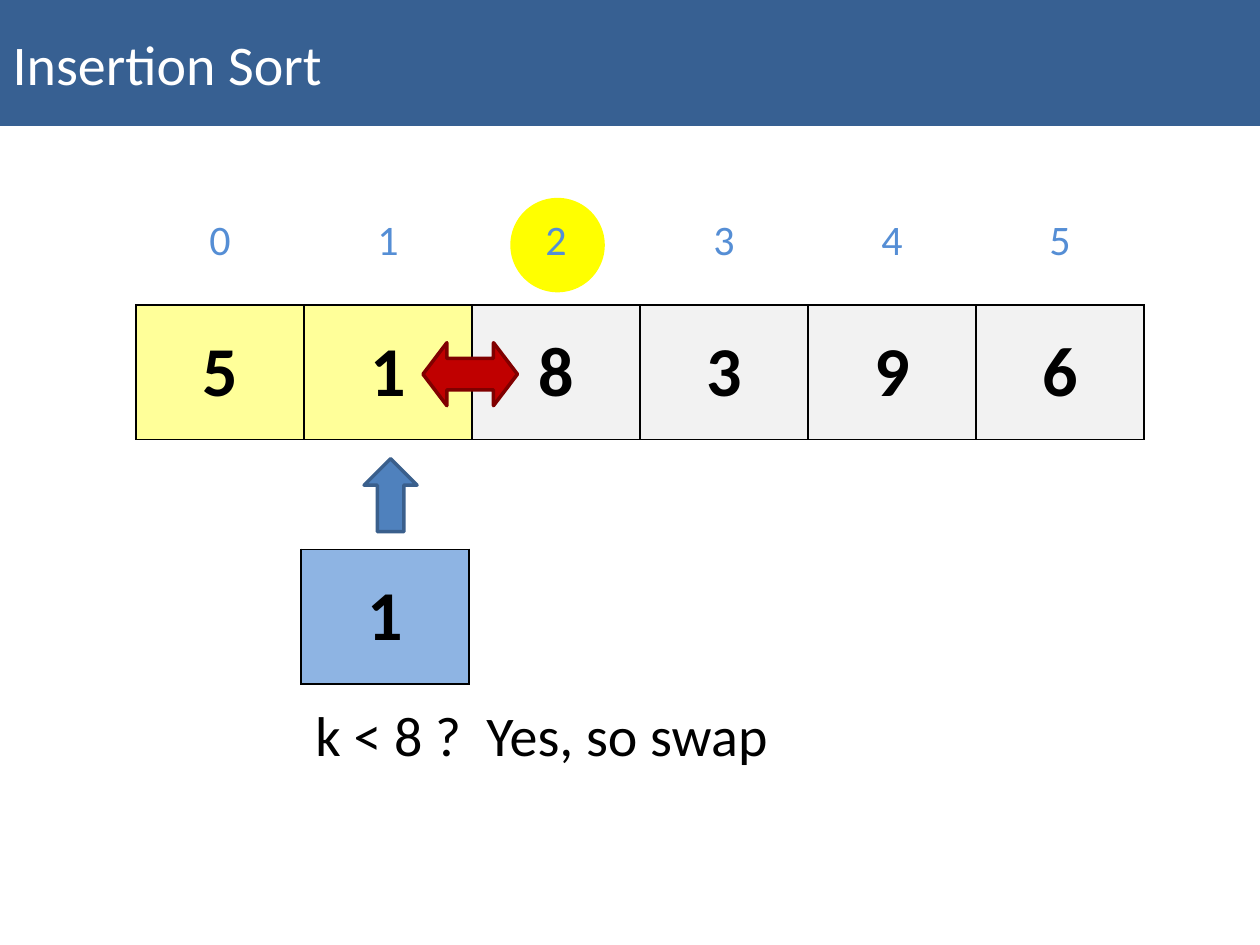
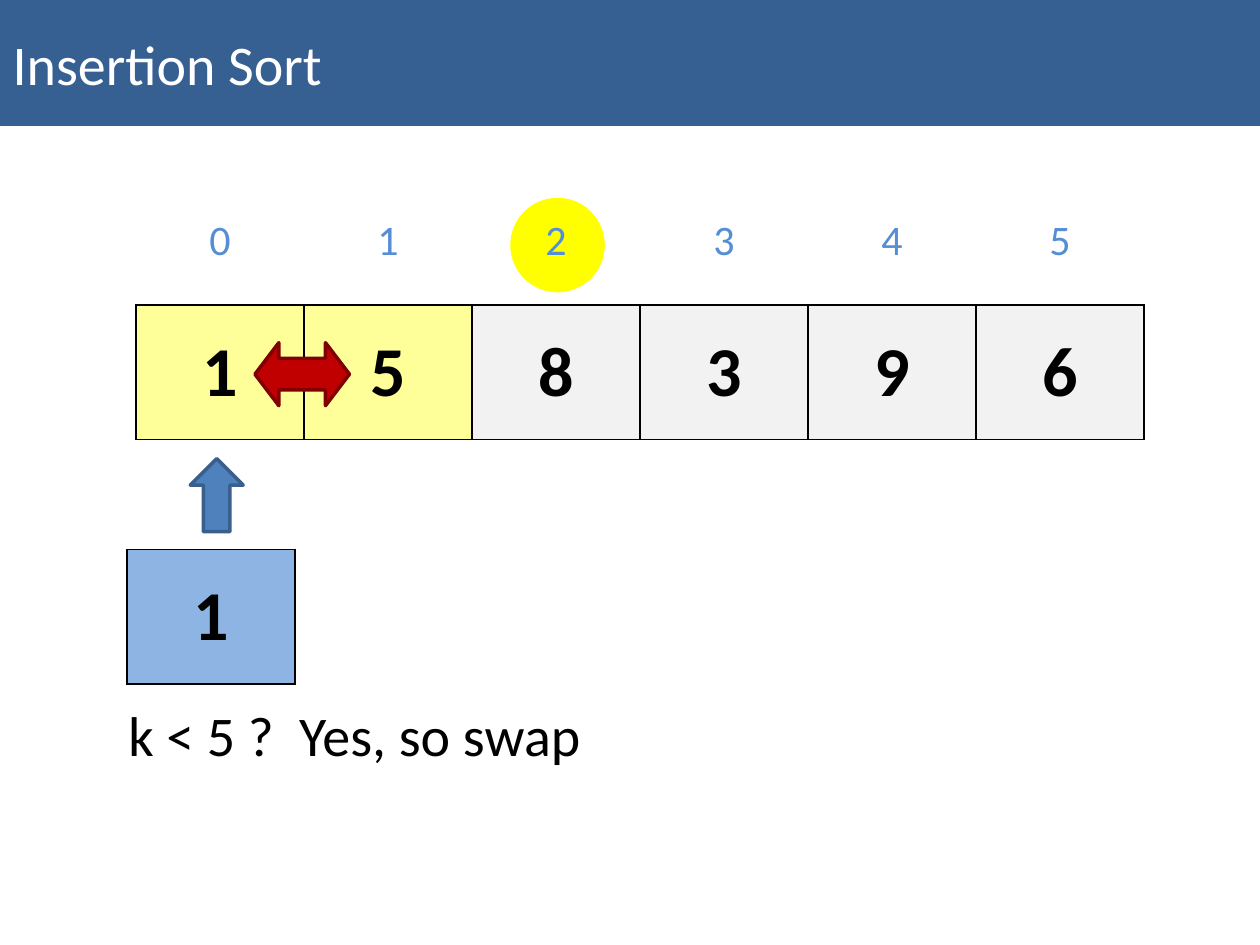
from pptx import Presentation
from pptx.dml.color import RGBColor
from pptx.enum.shapes import MSO_SHAPE as Preset
from pptx.enum.text import MSO_ANCHOR as Anchor, MSO_AUTO_SIZE as AutoSize, PP_ALIGN as Align
from pptx.oxml import parse_xml
from pptx.oxml.ns import nsdecls
from pptx.util import Inches, Pt

BLACK, YELLOW, GREY = "000000", "FFFF99", "F2F2F2"
TABLE_LEFT, TABLE_WIDTH, COUNT = 1.08, 8, 6
CELL_WIDTH, CELL_HEIGHT = TABLE_WIDTH / COUNT, 1.07


def color(value):
    return RGBColor.from_string(value)


class Deck:
    """Holds the shared style and the current slide."""

    font_name = "Calibri"

    def __init__(self):
        self.presentation = Presentation()
        self.presentation.slide_width = Inches(10)
        self.presentation.slide_height = Inches(7.5)
        self.slide = None

    def add_slide(self, title):
        layout = self.presentation.slide_layouts[5]
        self.slide = self.presentation.slides.add_slide(layout)
        # Title band
        band = self.slide.shapes.title
        band.left, band.top, band.width, band.height = map(Inches, (0, 0, 10, 1))
        band.fill.solid()
        band.fill.fore_color.rgb = color("376092")
        band.text_frame.auto_size = AutoSize.NONE
        band.text_frame.vertical_anchor = Anchor.MIDDLE
        self.add_run(band.text_frame, title, 32, "FFFFFF", Align.LEFT)

    def add_run(self, frame, text, size, text_color, align, bold=False):
        paragraph = frame.paragraphs[0]
        paragraph.alignment = align
        run = paragraph.add_run()
        run.text = text
        run.font.name, run.font.size, run.font.bold = self.font_name, Pt(size), bold
        run.font.color.rgb = color(text_color)

    def text(self, text, left, top, width, height, align):
        box = self.slide.shapes.add_textbox(*map(Inches, (left, top, width, height)))
        box.text_frame.word_wrap = True
        box.text_frame.auto_size = AutoSize.SHAPE_TO_FIT_TEXT
        self.add_run(box.text_frame, text, 32, BLACK, align)

    def shape(self, preset, left, top, width, height, fill, line=None):
        shape = self.slide.shapes.add_shape(preset, *map(Inches, (left, top, width, height)))
        shape.shadow.inherit = False
        shape.fill.solid()
        shape.fill.fore_color.rgb = color(fill)
        if line:
            shape.line.color.rgb = color(line)
            shape.line.width = Pt(2)
        else:
            shape.line.fill.background()
        return shape

    def border(self, cell, line):
        paint = f'<a:solidFill><a:srgbClr val="{line}"/></a:solidFill>' if line else "<a:noFill/>"
        for side in "LRTB":
            cell._tc.get_or_add_tcPr().append(parse_xml(
                f'<a:ln{side} {nsdecls("a")} w="{Pt(1)}">{paint}</a:ln{side}>'))

    def row(self, values, left, top, height, size, text_color, fills=None, line=None, bold=False):
        """One-row table with cells of equal width."""
        frame = self.slide.shapes.add_table(
            1, len(values), Inches(left), Inches(top),
            Inches(CELL_WIDTH * len(values)), Inches(height))
        table = frame.table
        table.first_row = table.horz_banding = False
        for index, value in enumerate(values):
            table.columns[index].width = Inches(CELL_WIDTH)
            cell = table.cell(0, index)
            self.border(cell, line)
            if fills:
                cell.fill.solid()
                cell.fill.fore_color.rgb = color(fills[index])
            else:
                cell.fill.background()
            cell.vertical_anchor = Anchor.MIDDLE
            self.add_run(cell.text_frame, str(value), size, text_color, Align.CENTER, bold)

    def boxes(self, values, left, top, fills):
        self.row(values, left, top, CELL_HEIGHT, 40, BLACK, fills, BLACK, True)


def add_step(deck, values, key, position, key_left, compared, align):
    """One comparison: the key at a position is swapped with its neighbour."""
    deck.add_slide("Insertion Sort")

    # Array and its indices, with the current index circled
    deck.shape(Preset.OVAL, 4.05, 1.57, 0.75, 0.75, "FFFF00")
    deck.boxes(values, TABLE_LEFT, 2.42, [YELLOW] * 2 + [GREY] * (COUNT - 2))
    deck.row(range(COUNT), TABLE_LEFT, 1.58, 0.67, 24, "558ED5")

    # Key, its question and the arrow to its position
    deck.boxes([key], key_left, 4.36, ["8EB4E3"])
    deck.text(f"k < {compared} ?  Yes, so swap", key_left - 0.09, 5.51, 4, 0.64, align)
    pointer = deck.shape(Preset.DOWN_ARROW, key_left + 0.5, 3.64, 0.42, 0.58, "4F81BD", "3A5F8C")
    pointer.rotation = 180

    # Swap arrow across the border between the two cells
    swap_left = TABLE_LEFT + (position + 1) * CELL_WIDTH - 0.39
    swap = deck.shape(Preset.LEFT_RIGHT_ARROW, swap_left, 2.72, 0.75, 0.5, "C00000", "800000")
    swap.adjustments[0], swap.adjustments[1] = 0.5, 0.38


def main():
    deck = Deck()
    add_step(deck, [5, 1, 8, 3, 9, 6], 1, 1, 2.39, 8, Align.CENTER)
    add_step(deck, [1, 5, 8, 3, 9, 6], 1, 0, 1.01, 5, Align.LEFT)
    deck.presentation.save("out.pptx")


if __name__ == "__main__":
    main()
